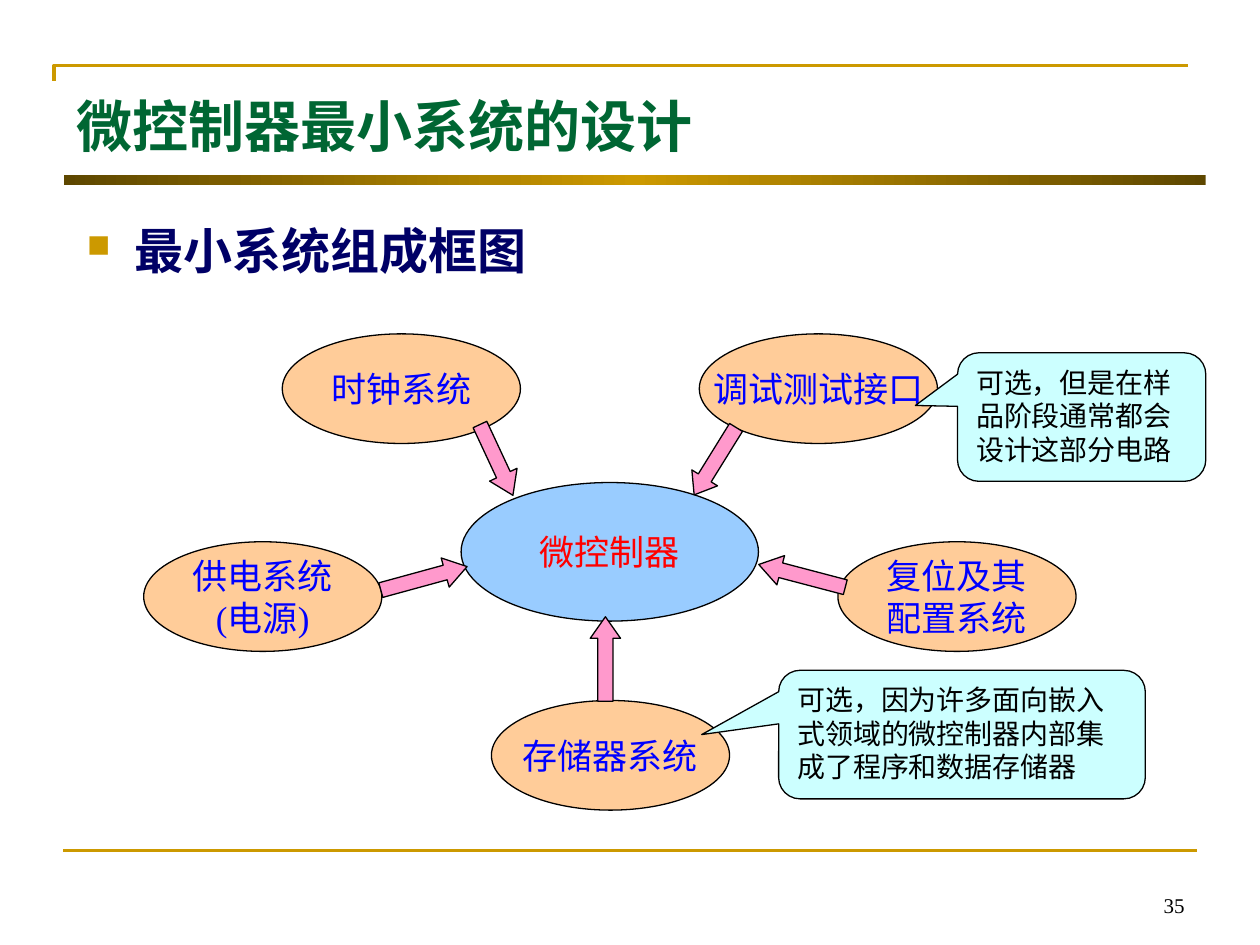
from copy import deepcopy
from typing import NamedTuple

from lxml.etree import SubElement
from pptx import Presentation
from pptx.dml.color import RGBColor
from pptx.enum.shapes import MSO_CONNECTOR, MSO_SHAPE
from pptx.enum.text import MSO_ANCHOR, PP_ALIGN
from pptx.oxml.ns import qn
from pptx.shapes.autoshape import Shape
from pptx.slide import Slide
from pptx.text.text import TextFrame
from pptx.util import Inches, Pt

FONT = "Times New Roman"
BLACK = RGBColor(0x00, 0x00, 0x00)
GOLD = RGBColor(0xCC, 0x99, 0x00)
DARK_GOLD = RGBColor(0x5E, 0x47, 0x00)
GREEN = RGBColor(0x00, 0x66, 0x33)
NAVY = RGBColor(0x00, 0x00, 0x66)
BLUE = RGBColor(0x00, 0x00, 0xFF)
RED = RGBColor(0xFF, 0x00, 0x00)
SKY = RGBColor(0x99, 0xCC, 0xFF)
PEACH = RGBColor(0xFF, 0xCC, 0x99)
PINK = RGBColor(0xFF, 0x99, 0xCC)
PALE_CYAN = RGBColor(0xCC, 0xFF, 0xFF)


class Box(NamedTuple):
    left: float
    top: float
    width: float
    height: float


class Node(NamedTuple):
    text: str
    box: Box
    fill: RGBColor
    color: RGBColor


class Arrow(NamedTuple):
    left: float
    top: float
    length: float
    rotation: float
    head: float


class Callout(NamedTuple):
    text: str
    box: Box
    tip: tuple[float, float]


def module(text: str, left: float, top: float) -> Node:
    """Describe one of the equal ellipses around the controller."""
    return Node(text, Box(left, top, 1.89, 0.87), PEACH, BLUE)


NODES = [
    Node("微控制器", Box(3.66, 3.83, 2.36, 1.1), SKY, RED),
    module("时钟系统", 2.24, 2.65),
    module("调试测试接口", 5.55, 2.65),
    module("复位及其\n配置系统", 6.65, 4.3),
    module("存储器系统", 3.9, 5.56),
    module("供电系统\n(电源)", 1.14, 4.3),
]
ARROW_HEIGHT = 0.24
ARROWS = [
    Arrow(3.01, 4.47, 0.71, 344.7, 0.75),
    Arrow(3.63, 3.53, 0.62, 65, 0.75),
    Arrow(4.47, 5.11, 0.67, 270, 0.71),
    Arrow(5.36, 3.54, 0.63, 121.8, 0.66),
    Arrow(6.01, 4.45, 0.71, 194.7, 0.75),
]
CALLOUTS = [
    Callout("可选，因为许多面向嵌入式领域的微控制器内部集成了程序和数据存储器",
            Box(6.18, 5.32, 2.91, 1.02), (-0.71, 0)),
    Callout("可选，但是在样品阶段通常都会设计这部分电路",
            Box(7.6, 2.8, 1.97, 1.02), (-0.67, -0.09)),
]


def write(frame: TextFrame, text: str, *, size: float, color: RGBColor,
          bold: bool = False, align: PP_ALIGN = PP_ALIGN.LEFT,
          anchor: MSO_ANCHOR = MSO_ANCHOR.TOP, wrap: bool = True) -> None:
    frame.word_wrap = wrap
    frame.vertical_anchor = anchor
    frame.text = text
    for paragraph in frame.paragraphs:
        paragraph.alignment = align
        for run in paragraph.runs:
            run.font.name = FONT
            run.font.size = Pt(size)
            run.font.bold = bold
            run.font.color.rgb = color


def add_text_box(slide: Slide, box: Box) -> TextFrame:
    return slide.shapes.add_textbox(*map(Inches, box)).text_frame


def add_outlined(slide: Slide, kind: MSO_SHAPE, box: Box, fill: RGBColor) -> Shape:
    shape = slide.shapes.add_shape(kind, *map(Inches, box))
    shape.shadow.inherit = False
    shape.fill.solid()
    shape.fill.fore_color.rgb = fill
    shape.line.color.rgb = BLACK
    shape.line.width = Pt(0.75)
    return shape


def add_node(slide: Slide, node: Node) -> None:
    shape = add_outlined(slide, MSO_SHAPE.OVAL, node.box, node.fill)
    write(shape.text_frame, node.text, size=20, color=node.color,
          align=PP_ALIGN.CENTER, anchor=MSO_ANCHOR.MIDDLE, wrap=False)


def add_arrow(slide: Slide, arrow: Arrow) -> None:
    box = Box(arrow.left, arrow.top, arrow.length, ARROW_HEIGHT)
    shape = add_outlined(slide, MSO_SHAPE.RIGHT_ARROW, box, PINK)
    shape.rotation = arrow.rotation
    shape.adjustments[1] = arrow.head


def add_callout(slide: Slide, callout: Callout) -> None:
    shape = add_outlined(slide, MSO_SHAPE.ROUNDED_RECTANGULAR_CALLOUT,
                         callout.box, PALE_CYAN)
    shape.adjustments[0], shape.adjustments[1] = callout.tip
    write(shape.text_frame, callout.text, size=16, color=BLACK)


def add_frame(slide: Slide) -> None:
    """Draw the corner rule, the footer rule and the gradient bar."""
    builder = slide.shapes.build_freeform(Inches(0.43), Inches(0.64))
    builder.add_line_segments([(Inches(0.43), Inches(0.52)),
                               (Inches(9.43), Inches(0.52))], close=False)
    corner = builder.convert_to_shape()
    corner.shadow.inherit = False
    corner.fill.background()
    corner.line.color.rgb = GOLD
    corner.line.width = Pt(2.25)

    footer = slide.shapes.add_connector(
        MSO_CONNECTOR.STRAIGHT, Inches(0.5), Inches(6.75), Inches(9.5), Inches(6.75))
    footer.line.color.rgb = GOLD
    footer.line.width = Pt(1.5)
    SubElement(footer._element.spPr, qn("a:effectLst"))

    bar = slide.shapes.add_shape(
        MSO_SHAPE.RECTANGLE, *map(Inches, Box(0.51, 1.39, 9.06, 0.08)))
    bar.shadow.inherit = False
    bar.line.fill.background()
    bar.fill.gradient()
    bar.fill.gradient_angle = 0
    stop_list = bar._element.spPr.find(".//" + qn("a:gsLst"))
    stop_list.append(deepcopy(stop_list[-1]))
    stops = zip(bar.fill.gradient_stops, (0, 0.5, 1), (DARK_GOLD, GOLD, DARK_GOLD))
    for stop, position, color in stops:
        stop.position = position
        stop.color.rgb = color


def add_bullet(frame: TextFrame) -> None:
    """Give the first paragraph a gold square and a hanging indent."""
    properties = frame.paragraphs[0]._p.get_or_add_pPr()
    properties.set("marL", str(Inches(0.38)))
    properties.set("indent", str(-Inches(0.38)))
    bullet_color = SubElement(properties, qn("a:buClr"))
    SubElement(bullet_color, qn("a:srgbClr"), val=str(GOLD))
    SubElement(properties, qn("a:buSzPct"), val="65000")
    SubElement(properties, qn("a:buChar"), char="■")


def main() -> None:
    presentation = Presentation()
    presentation.slide_width = Inches(10)
    presentation.slide_height = Inches(7.5)
    slide = presentation.slides.add_slide(presentation.slide_layouts[6])

    add_frame(slide)
    write(add_text_box(slide, Box(0.51, 0.68, 9, 0.85)), "微控制器最小系统的设计",
          size=32, color=GREEN, bold=True)
    heading = add_text_box(slide, Box(0.59, 1.7, 4.49, 0.63))
    write(heading, "最小系统组成框图", size=28, color=NAVY, bold=True,
          align=PP_ALIGN.JUSTIFY)
    add_bullet(heading)

    for node in NODES:
        add_node(slide, node)
    for arrow in ARROWS:
        add_arrow(slide, arrow)
    for callout in CALLOUTS:
        add_callout(slide, callout)

    write(add_text_box(slide, Box(7.17, 6.83, 2.33, 0.5)), "35", size=12, color=BLACK,
          align=PP_ALIGN.RIGHT, anchor=MSO_ANCHOR.BOTTOM)
    presentation.save("out.pptx")


if __name__ == "__main__":
    main()
